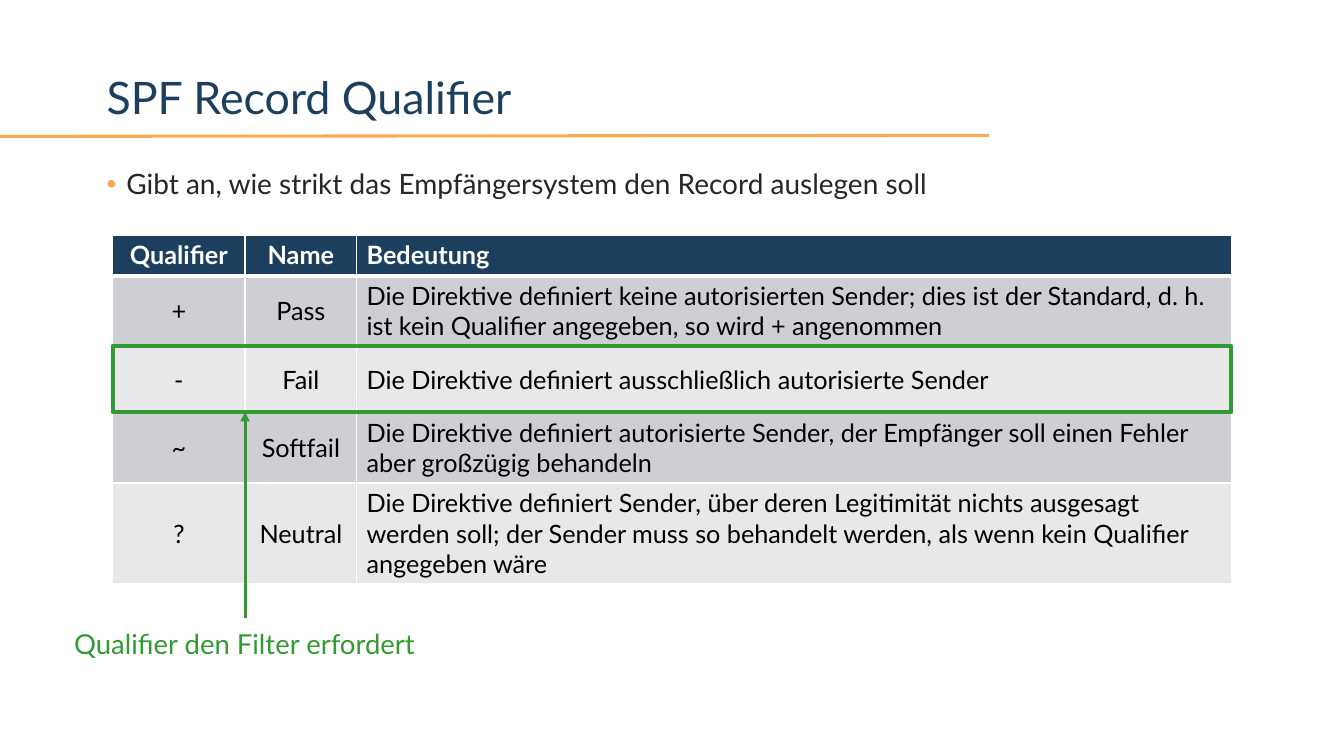
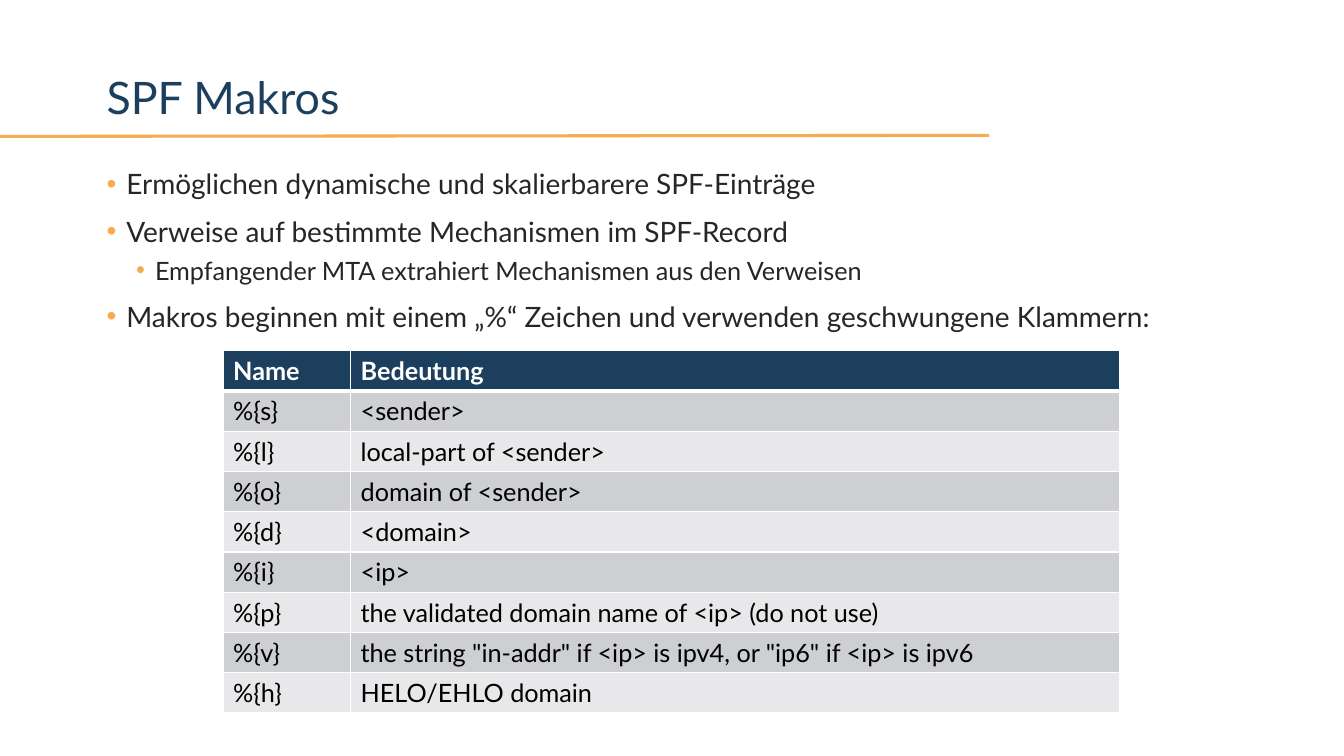
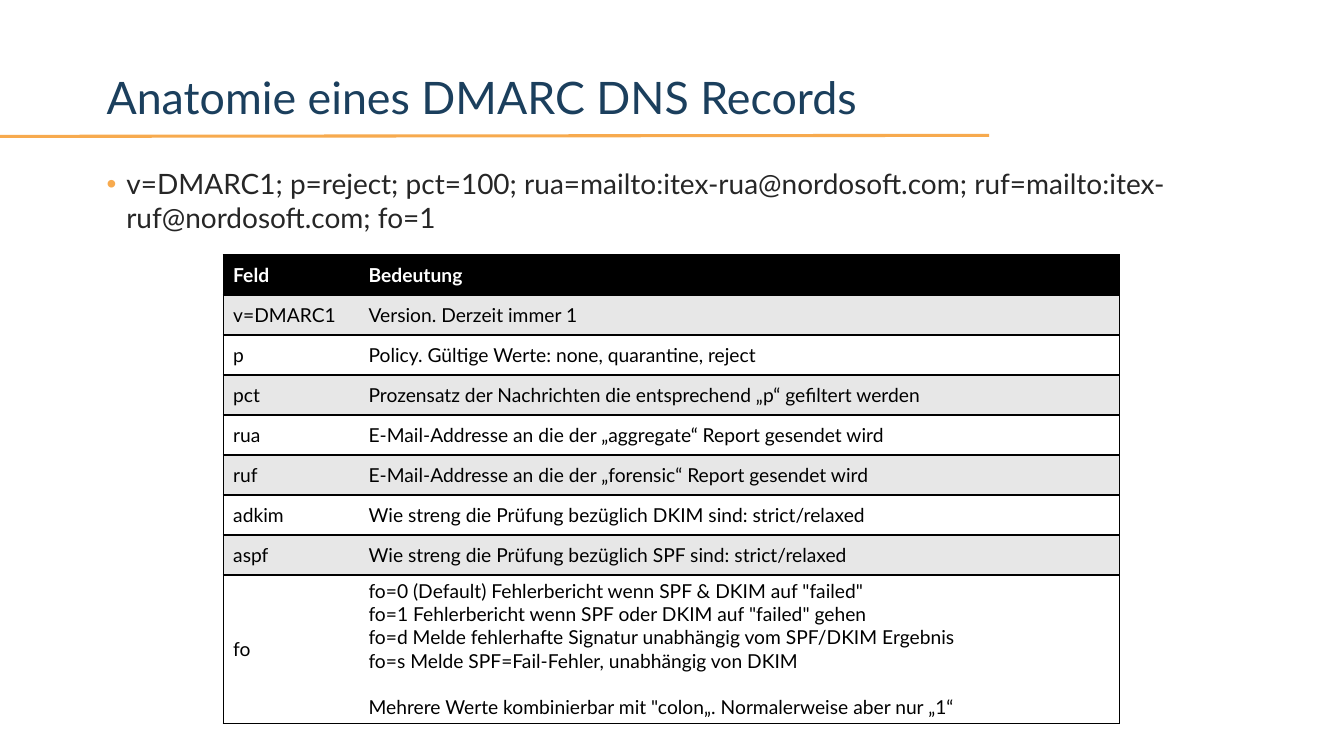
"""Builds three slides on SPF qualifiers, SPF macros and DMARC records."""
from lxml import etree
from pptx import Presentation
from pptx.dml.color import RGBColor
from pptx.enum.shapes import MSO_CONNECTOR, MSO_SHAPE
from pptx.enum.text import MSO_ANCHOR, PP_ALIGN
from pptx.oxml.ns import qn
from pptx.util import Inches, Pt

STRAIGHT, RECTANGLE = MSO_CONNECTOR.STRAIGHT, MSO_SHAPE.RECTANGLE
TOP, MIDDLE = MSO_ANCHOR.TOP, MSO_ANCHOR.MIDDLE
LEFT, CENTER = PP_ALIGN.LEFT, PP_ALIGN.CENTER
FONT = "Lato"
NAVY, ORANGE, GREEN = "1B3F5D", "F7AA4E", "339933"
INK, BLACK, WHITE = "262626", "000000", "FFFFFF"
BODY_LEVELS = [
    {"size": 20.4, "margin": 0.2, "indent": -0.2, "before": 10.2},
    {"size": 18.4, "margin": 0.49, "indent": -0.19, "before": 5.1},
]
NAVY_STYLE = {"size": 18.4, "header": NAVY, "bands": ["CDCFD2", "E8E8EA"],
              "border": WHITE, "header_line": 3, "column_lines": True}
BLACK_STYLE = {"size": 14, "header": BLACK, "bands": ["E7E7E7", WHITE],
               "border": BLACK, "header_line": 1, "column_lines": False}

rgb = RGBColor.from_string


def put_text(tf, text, size, color, bold=False, align=LEFT, spacing=None,
             before=0, level=0, margin=0, indent=0, bullet=None):
    """Add one formatted paragraph, filling the empty first one if there is one."""
    first = not tf.text
    p = tf.paragraphs[0] if first else tf.add_paragraph()
    if bullet:
        pPr = p._p.get_or_add_pPr()
        pPr.set("marL", str(Inches(margin)))
        pPr.set("indent", str(Inches(indent)))
        clr = etree.SubElement(pPr, qn("a:buClr"))
        etree.SubElement(clr, qn("a:srgbClr"), val=bullet)
        etree.SubElement(pPr, qn("a:buFont"), typeface="Arial")
        etree.SubElement(pPr, qn("a:buChar"), char="•")
    p.level = level
    p.alignment = align
    p.space_before = Pt(0 if first else before)
    if spacing:
        p.line_spacing = spacing
    r = p.add_run()
    r.text = text
    r.font.name = FONT
    r.font.size = Pt(size)
    r.font.bold = bold
    r.font.color.rgb = rgb(color)


def put_line(s, x1, y1, x2, y2, color, arrow=False):
    """Draw a straight line without shadow, optionally with an arrowhead."""
    line = s.shapes.add_connector(STRAIGHT, Inches(x1), Inches(y1), Inches(x2), Inches(y2))
    line.line.color.rgb = rgb(color)
    line.line.width = Pt(2.25)
    spPr = line._element.spPr
    if arrow:
        etree.SubElement(spPr.find(qn("a:ln")), qn("a:tailEnd"), type="triangle")
    etree.SubElement(spPr, qn("a:effectLst"))


slides = [
    {
        "title": "SPF Record Qualifier",
        "body": [(0, "Gibt an, wie strikt das Empfängersystem den Record auslegen soll")],
        "style": NAVY_STYLE, "at": (1.14, 2.38), "cols": [1.34, 1.13, 8.85],
        "heights": [0.41, 0.71, 0.67, 0.71, 1.02],
        "aligns": [CENTER, CENTER, LEFT], "anchors": (TOP, MIDDLE),
        "rows": [
            ["Qualifier", "Name", "Bedeutung"],
            ["+", "Pass", "Die Direktive definiert keine autorisierten Sender; dies ist der "
             "Standard, d. h. ist kein Qualifier angegeben, so wird + angenommen"],
            ["-", "Fail", "Die Direktive definiert ausschließlich autorisierte Sender"],
            ["~", "Softfail", "Die Direktive definiert autorisierte Sender, der Empfänger soll "
             "einen Fehler aber großzügig behandeln"],
            ["?", "Neutral", "Die Direktive definiert Sender, über deren Legitimität nichts "
             "ausgesagt werden soll; der Sender muss so behandelt werden, als wenn kein "
             "Qualifier angegeben wäre"],
        ],
        "marked_row": 2, "note": "Qualifier den Filter erfordert",
    },
    {
        "title": "SPF Makros",
        "body": [
            (0, "Ermöglichen dynamische und skalierbarere SPF-Einträge"),
            (0, "Verweise auf bestimmte Mechanismen im SPF-Record"),
            (1, "Empfangender MTA extrahiert Mechanismen aus den Verweisen"),
            (0, "Makros beginnen mit einem „%“ Zeichen und verwenden geschwungene Klammern:"),
        ],
        "style": NAVY_STYLE, "at": (2.26, 3.55), "cols": [1.29, 7.78],
        "heights": [3.65 / 9] * 9, "aligns": [LEFT, LEFT], "anchors": (TOP, TOP),
        "rows": [
            ["Name", "Bedeutung"],
            ["%{s}", "<sender>"],
            ["%{l}", "local-part of <sender>"],
            ["%{o}", "domain of <sender>"],
            ["%{d}", "<domain>"],
            ["%{i}", "<ip>"],
            ["%{p}", "the validated domain name of <ip> (do not use)"],
            ["%{v}", 'the string "in-addr" if <ip> is ipv4, or "ip6" if <ip> is ipv6'],
            ["%{h}", "HELO/EHLO domain"],
        ],
    },
    {
        "title": "Anatomie eines DMARC DNS Records",
        "body": [(0, "v=DMARC1; p=reject; pct=100; rua=mailto:itex-rua@nordosoft.com; "
                  "ruf=mailto:itex-ruf@nordosoft.com; fo=1")],
        "style": BLACK_STYLE, "at": (2.26, 2.58), "cols": [1.37, 7.7],
        "heights": [3.24 / 8] * 8 + [1.5], "aligns": [LEFT, LEFT], "anchors": (MIDDLE, MIDDLE),
        "rows": [
            ["Feld", "Bedeutung"],
            ["v=DMARC1", "Version. Derzeit immer 1"],
            ["p", "Policy. Gültige Werte: none, quarantine, reject"],
            ["pct", "Prozensatz der Nachrichten die entsprechend „p“ gefiltert werden"],
            ["rua", "E-Mail-Addresse an die der „aggregate“ Report gesendet wird"],
            ["ruf", "E-Mail-Addresse an die der „forensic“ Report gesendet wird"],
            ["adkim", "Wie streng die Prüfung bezüglich DKIM sind: strict/relaxed"],
            ["aspf", "Wie streng die Prüfung bezüglich SPF sind: strict/relaxed"],
            ["fo", 'fo=0 (Default) Fehlerbericht wenn SPF & DKIM auf "failed"\n'
             'fo=1 Fehlerbericht wenn SPF oder DKIM auf "failed" gehen\n'
             "fo=d Melde fehlerhafte Signatur unabhängig vom SPF/DKIM Ergebnis\n"
             "fo=s Melde SPF=Fail-Fehler, unabhängig von DKIM\n"
             'Mehrere Werte kombinierbar mit "colon„. Normalerweise aber nur „1“'],
        ],
        "last_line_gap": 16.8,
    },
]

prs = Presentation()
prs.slide_width, prs.slide_height = Inches(13.6), Inches(7.65)

for content in slides:
    s = prs.slides.add_slide(prs.slide_layouts[6])
    put_line(s, 0, 1.38, 10.01, 1.37, ORANGE)

    tf = s.shapes.add_textbox(Inches(0.98), Inches(0.65), Inches(9.04), Inches(0.72)).text_frame
    tf.word_wrap = True
    tf.vertical_anchor = MIDDLE
    put_text(tf, content["title"], 32.6, NAVY, spacing=0.9)

    tf = s.shapes.add_textbox(Inches(0.98), Inches(1.64), Inches(11.65), Inches(5)).text_frame
    tf.word_wrap = True
    for level, text in content["body"]:
        put_text(tf, text, color=INK, level=level, bullet=ORANGE, **BODY_LEVELS[level])

    style, rows, cols, heights = (content[key] for key in ("style", "rows", "cols", "heights"))
    x, y = content["at"]
    table = s.shapes.add_table(len(rows), len(cols), Inches(x), Inches(y),
                               Inches(sum(cols)), Inches(sum(heights))).table
    table.horz_banding = False
    for column, width in zip(table.columns, cols):
        column.width = Inches(width)
    for i, row in enumerate(rows):
        table.rows[i].height = Inches(heights[i])
        for j, text in enumerate(row):
            cell = table.cell(i, j)
            cell.vertical_anchor = content["anchors"][i > 0]
            lines = text.split("\n")
            for n, line in enumerate(lines):
                gap = content.get("last_line_gap", 0) if n == len(lines) - 1 else 0
                put_text(cell.text_frame, line, style["size"], BLACK if i else WHITE,
                         bold=i == 0, align=content["aligns"][j], before=gap)
            borders = {
                "lnL": 1 if style["column_lines"] or j == 0 else 0,
                "lnR": 1 if style["column_lines"] or j == len(cols) - 1 else 0,
                "lnT": style["header_line"] if i == 1 else 1,
                "lnB": style["header_line"] if i == 0 else 1,
            }
            tcPr = cell._tc.get_or_add_tcPr()
            for side, width in borders.items():
                ln = etree.SubElement(tcPr, qn(f"a:{side}"), w=str(Pt(width)))
                if width:
                    fill = etree.SubElement(ln, qn("a:solidFill"))
                    etree.SubElement(fill, qn("a:srgbClr"), val=style["border"])
                else:
                    etree.SubElement(ln, qn("a:noFill"))
            cell.fill.solid()
            cell.fill.fore_color.rgb = rgb(style["bands"][(i - 1) % 2] if i else style["header"])

    if "note" in content:
        marked = content["marked_row"]
        top, height = y + sum(heights[:marked]), heights[marked]
        frame = s.shapes.add_shape(RECTANGLE, Inches(x), Inches(top),
                                   Inches(sum(cols)), Inches(height))
        frame.shadow.inherit = False
        frame.fill.background()
        frame.line.color.rgb = rgb(GREEN)
        frame.line.width = Pt(3)
        arrow_x = x + cols[0]
        put_line(s, arrow_x, 6.25, arrow_x, top + height, GREEN, arrow=True)
        tf = s.shapes.add_textbox(Inches(0.75), Inches(6.35), Inches(3.47), Inches(0.34)).text_frame
        tf.word_wrap = True
        tf.margin_left = tf.margin_right = tf.margin_top = tf.margin_bottom = 0
        put_text(tf, content["note"], 20, GREEN)

prs.save("out.pptx")
